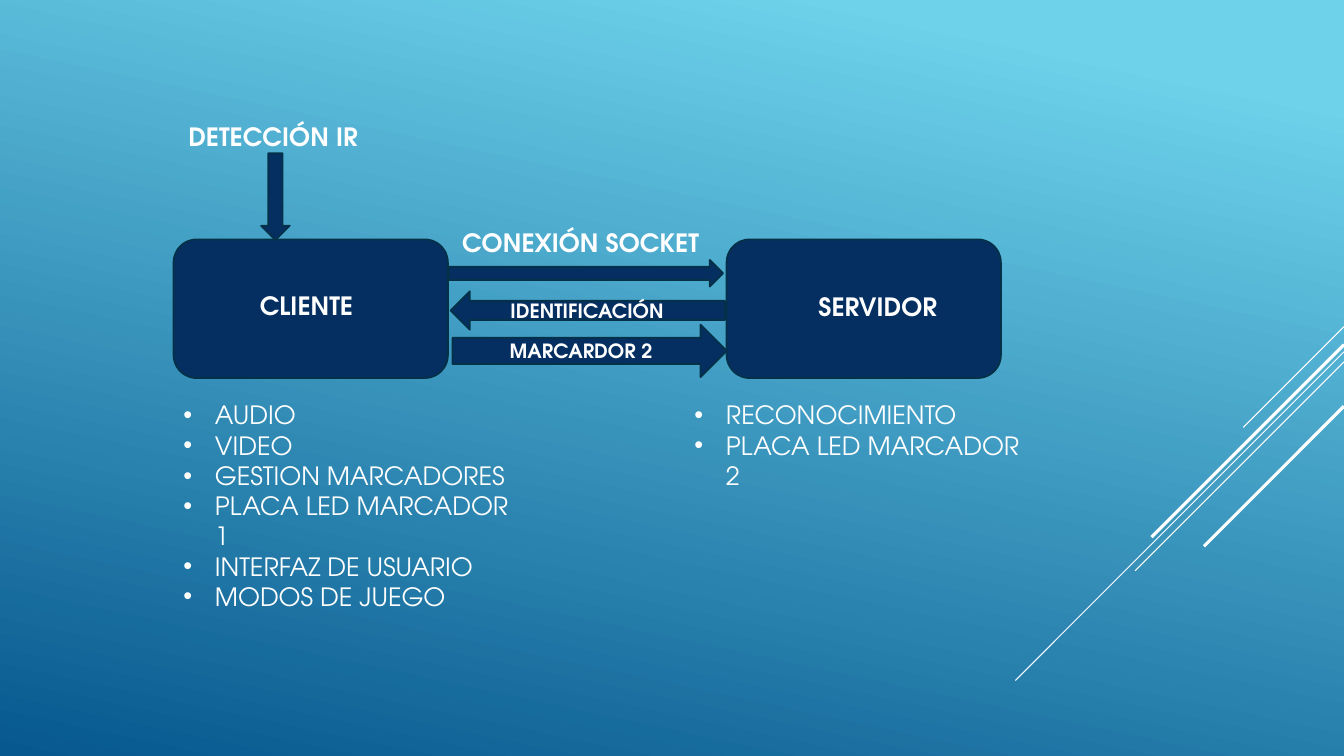
from dataclasses import dataclass

from lxml import etree
from pptx import Presentation
from pptx.dml.color import RGBColor
from pptx.enum.shapes import MSO_CONNECTOR, MSO_SHAPE
from pptx.enum.text import MSO_AUTO_SIZE
from pptx.oxml.ns import qn
from pptx.util import Pt

STRAIGHT = MSO_CONNECTOR.STRAIGHT
ROUNDED_BOX = MSO_SHAPE.ROUNDED_RECTANGLE
DOWN_ARROW = MSO_SHAPE.DOWN_ARROW
FIT_SHAPE = MSO_AUTO_SIZE.SHAPE_TO_FIT_TEXT


@dataclass(frozen=True)
class Theme:
    """Colours, font and type sizes of the slide."""
    sky: RGBColor = RGBColor(0x6E, 0xD2, 0xEB)
    sea: RGBColor = RGBColor(0x06, 0x58, 0x8E)
    navy: RGBColor = RGBColor(0x05, 0x2F, 0x61)
    outline: RGBColor = RGBColor(0x04, 0x31, 0x48)
    white: RGBColor = RGBColor(0xFF, 0xFF, 0xFF)
    font: str = "TeX Gyre Adventor"
    body: int = 18
    small: int = 14


theme = Theme()
WIDTH, HEIGHT = 960, 540

presentation = Presentation()
presentation.slide_width, presentation.slide_height = Pt(WIDTH), Pt(HEIGHT)
slide = presentation.slides.add_slide(presentation.slide_layouts[6])


def add_navy(kind, left, top, width, height, rotation=0):
    """Add a navy diagram shape with a thin dark outline."""
    part = slide.shapes.add_shape(kind, Pt(left), Pt(top), Pt(width), Pt(height))
    part.rotation = rotation
    part.shadow.inherit = False
    part.fill.solid()
    part.fill.fore_color.rgb = theme.navy
    part.line.color.rgb = theme.outline
    part.line.width = Pt(1.25)


def add_text(lines, left, top, width, height, size=theme.body, bulleted=False):
    """Add unwrapped text, either a bold label or a bulleted list."""
    box = slide.shapes.add_textbox(Pt(left), Pt(top), Pt(width), Pt(height))
    frame = box.text_frame
    frame.word_wrap = False
    frame.auto_size = FIT_SHAPE
    for index, line in enumerate(lines):
        paragraph = frame.add_paragraph() if index else frame.paragraphs[0]
        run = paragraph.add_run()
        run.text = line
        run.font.name = theme.font
        run.font.size = Pt(size)
        run.font.bold = not bulleted
        run.font.color.rgb = theme.white
        if bulleted:
            properties = paragraph._p.get_or_add_pPr()
            properties.set("marL", str(Pt(22.5)))
            properties.set("indent", str(-Pt(22.5)))
            etree.SubElement(properties, qn("a:buFont")).set("typeface", "Arial")
            etree.SubElement(properties, qn("a:buChar")).set("char", "•")


# Background: the gradient angle counts anticlockwise
background = slide.background.fill
background.gradient()
background.gradient_angle = 360 - 102
for stop, position, colour in zip(background.gradient_stops, (0.1, 1), (theme.sky, theme.sea)):
    stop.position = position
    stop.color.rgb = colour

# Diagonal streaks at 45 degrees from the right edge: top, run, weight
for top, run_length, weight in (
    (233.3, 72, 0.75),
    (251.3, 234.7, 0.75),
    (258.5, 149.2, 0.75),
    (246.2, 137.5, 2.25),
    (290.2, 100, 2.25),
):
    streak = slide.shapes.add_connector(
        STRAIGHT, Pt(WIDTH), Pt(top), Pt(WIDTH - run_length), Pt(top + run_length))
    streak.line.color.rgb = theme.white
    streak.line.width = Pt(weight)
    etree.SubElement(streak._element.spPr, qn("a:effectLst"))

# Client and server boxes
BOX_TOP, BOX_WIDTH, BOX_HEIGHT = 171, 196, 99
CLIENT_LEFT, SERVER_LEFT = 124, 519
for box_left in (CLIENT_LEFT, SERVER_LEFT):
    add_navy(ROUNDED_BOX, box_left, BOX_TOP, BOX_WIDTH, BOX_HEIGHT)

# Detection arrow, then the turned arrows between the boxes: centre, thickness, turn
add_navy(DOWN_ARROW, 186.5, 109.5, 20.5, 62)
ARROW_LENGTH = 196
for centre_x, centre_y, thickness, turn in (
    (418.5, 195.2, 19, 270),
    (419.8, 221.8, 27.5, 90),
    (421.2, 250.6, 37.5, 270),
):
    add_navy(DOWN_ARROW, centre_x - thickness / 2, centre_y - ARROW_LENGTH / 2,
             thickness, ARROW_LENGTH, turn)

# Labels
for label, left, top, width, height, size in (
    ("DETECCIÓN IR", 127.5, 83, 138, 29, theme.body),
    ("CLIENTE", 178.5, 204, 83, 29, theme.body),
    ("SERVIDOR", 577.5, 204.5, 101.5, 29, theme.body),
    ("CONEXIÓN SOCKET", 323, 159, 186, 29, theme.body),
    ("MARCARDOR 2", 357, 238.5, 117.5, 24.5, theme.small),
    ("IDENTIFICACIÓN", 357.5, 210, 125.5, 24.5, theme.small),
):
    add_text([label], left, top, width, height, size)

# Duties of each side
LIST_TOP, LIST_WIDTH = 282, 257
client_duties = ["AUDIO", "VIDEO", "GESTION MARCADORES", "PLACA LED MARCADOR 1",
                 "INTERFAZ DE USUARIO", "MODOS DE JUEGO"]
server_duties = ["RECONOCIMIENTO", "PLACA LED MARCADOR 2"]
for duties, left in ((client_duties, CLIENT_LEFT), (server_duties, 489)):
    add_text(duties, left, LIST_TOP, LIST_WIDTH, 7.2 + 21.8 * len(duties), bulleted=True)

presentation.save("out.pptx")
